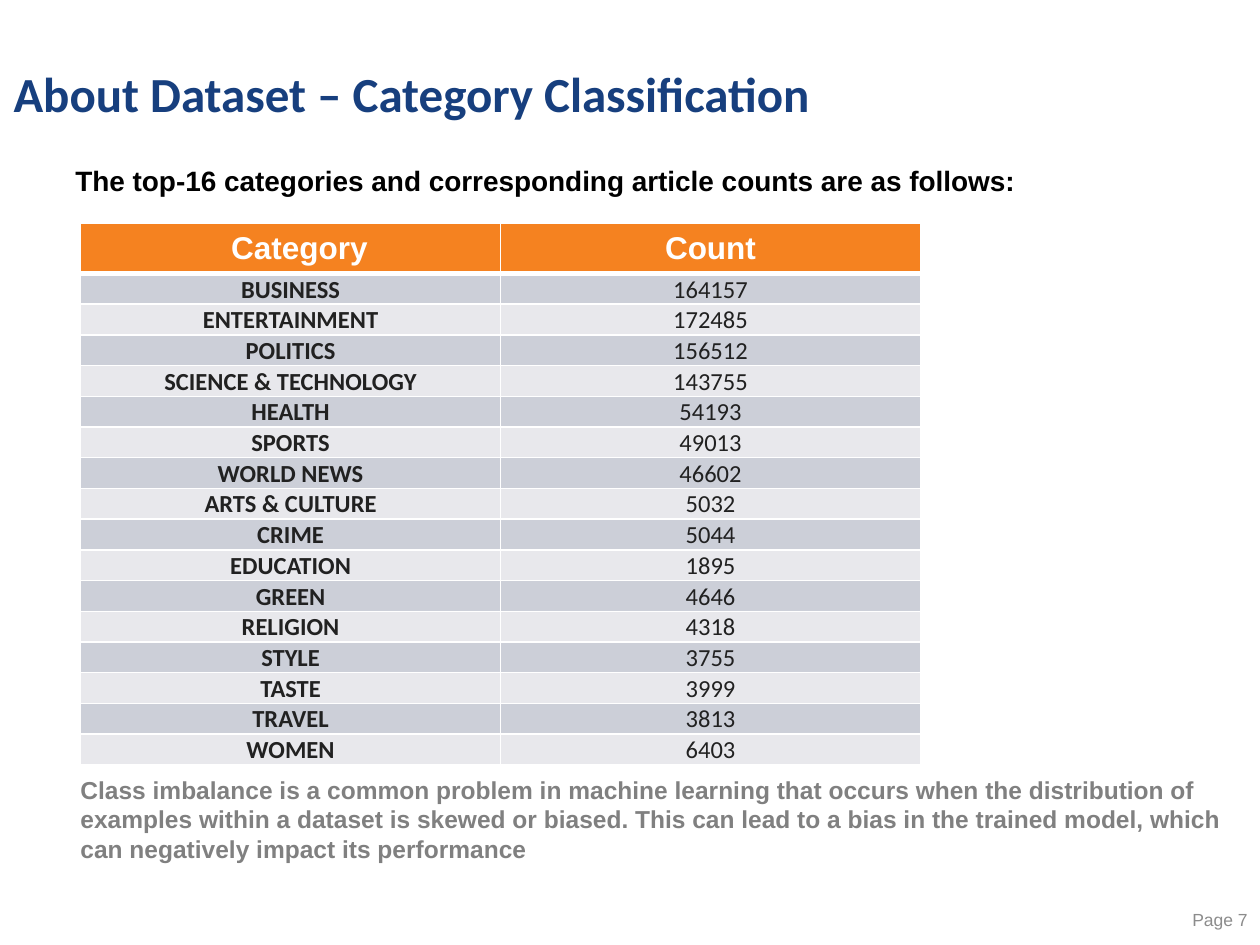
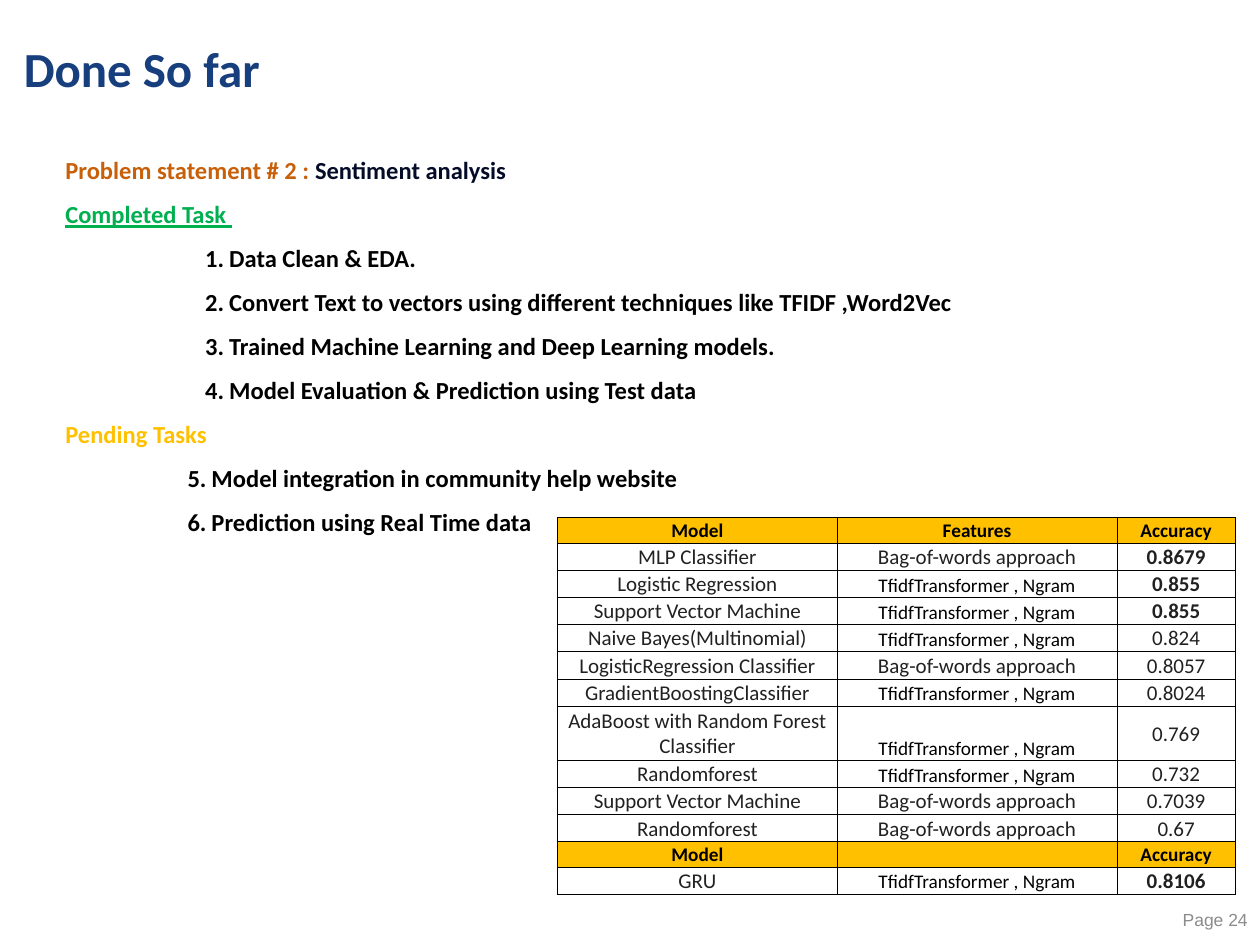
from dataclasses import dataclass, replace
from typing import Any, NamedTuple, Optional

import lxml.etree
import pptx
import pptx.dml.color
import pptx.enum.text
import pptx.oxml.ns
import pptx.util

ALIGN = pptx.enum.text.PP_ALIGN
ANCHOR = pptx.enum.text.MSO_ANCHOR
SLIDE_WIDTH = pptx.util.Inches(10)
SLIDE_HEIGHT = pptx.util.Inches(7.5)
GRID_COLUMNS = 100
GRID_ROWS = 75


@dataclass(frozen=True)
class Theme:
    heading_font: str = "Calibri"
    body_font: str = "Arial"
    navy: str = "173F7E"
    midnight: str = "040C28"
    black: str = "000000"
    white: str = "FFFFFF"
    ink: str = "212121"
    grey: str = "808080"
    page_grey: str = "8C8C8C"
    orange: str = "F58220"
    rust: str = "C76009"
    green: str = "00B050"
    amber: str = "FFC000"
    bands: tuple[str, str] = ("CCCFD8", "E8E8EC")
    title_size: int = 28
    table_head_size: int = 18
    lead_size: int = 16
    text_size: int = 14
    score_size: int = 12
    small_size: int = 11
    page_size: int = 10


THEME = Theme()


class Area(NamedTuple):
    column: float
    row: float
    columns: float
    rows: float


class Style(NamedTuple):
    size: int
    color: str
    font: str = THEME.heading_font
    bold: bool = True
    underline: bool = False


class Span(NamedTuple):
    text: str
    style: Style


class Line(NamedTuple):
    spans: tuple[Span, ...]
    align: Any = ALIGN.LEFT
    spacing: float = 1.0
    before: float = 0
    indent: float = 0
    numbered: bool = False


class Border(NamedTuple):
    color: str
    points: float
    bottom_points: float


class Insets(NamedTuple):
    left: float = 0.1
    right: float = 0.1
    top: float = 0.1
    bottom: float = 0


@dataclass(frozen=True)
class Cell:
    text: str
    style: Style
    border: Border
    fill: Optional[str] = None
    anchor: Any = ANCHOR.MIDDLE
    insets: Insets = Insets()


TITLE = Style(THEME.title_size, THEME.navy)
LEAD = Style(THEME.lead_size, THEME.black, THEME.body_font)
NOTE = Style(THEME.text_size, THEME.grey, THEME.body_font)
PAGE = Style(THEME.page_size, THEME.page_grey, THEME.body_font, False)
COUNT_HEAD = Style(THEME.table_head_size, THEME.white, THEME.body_font)
CATEGORY = Style(THEME.text_size, THEME.ink)
COUNT = CATEGORY._replace(bold=False)
TASK = Style(THEME.text_size, THEME.black)
SCORE_HEAD = Style(THEME.small_size, THEME.black)
TRANSFORMER = SCORE_HEAD._replace(bold=False)
MODEL = Style(THEME.score_size, THEME.ink, bold=False)

WHITE_RULE = Border(THEME.white, 1, 1)
HEAD_RULE = Border(THEME.white, 1, 3)
BLACK_RULE = Border(THEME.black, 0.5, 0.5)

CATEGORY_COUNTS = {
    "BUSINESS": 164157, "ENTERTAINMENT": 172485, "POLITICS": 156512,
    "SCIENCE & TECHNOLOGY": 143755, "HEALTH": 54193, "SPORTS": 49013,
    "WORLD NEWS": 46602, "ARTS & CULTURE": 5032, "CRIME": 5044,
    "EDUCATION": 1895, "GREEN": 4646, "RELIGION": 4318, "STYLE": 3755,
    "TASTE": 3999, "TRAVEL": 3813, "WOMEN": 6403,
}
BAG = "Bag-of-words approach"
TFIDF = "TfidfTransformer , Ngram"
SCORE_ROWS = [
    ("Model", "Features", "Accuracy"),
    ("MLP Classifier", BAG, "0.8679"),
    ("Logistic Regression", TFIDF, "0.855"),
    ("Support Vector Machine", TFIDF, "0.855"),
    ("Naive Bayes(Multinomial)", TFIDF, "0.824"),
    ("LogisticRegression Classifier", BAG, "0.8057"),
    ("GradientBoostingClassifier", TFIDF, "0.8024"),
    ("AdaBoost with Random Forest Classifier", TFIDF, "0.769"),
    ("Randomforest", TFIDF, "0.732"),
    ("Support Vector Machine", BAG, "0.7039"),
    ("Randomforest", BAG, "0.67"),
    ("Model", "", "Accuracy"),
    ("GRU", TFIDF, "0.8106"),
]
BEST_SCORES = {"0.8679", "0.855", "0.8106"}
COMPLETED = [
    "Data Clean & EDA.",
    "Convert Text to vectors using different techniques like TFIDF ,Word2Vec",
    "Trained Machine Learning and Deep Learning models.",
    "Model Evaluation & Prediction using Test data",
]
PENDING = [
    "Model integration in community help website",
    "Prediction using Real Time data",
]
NUMBER_HANG = 1.9


def across(columns: float) -> int:
    return round(SLIDE_WIDTH * columns / GRID_COLUMNS)


def down(rows: float) -> int:
    return round(SLIDE_HEIGHT * rows / GRID_ROWS)


def place(area: Area) -> tuple[int, int, int, int]:
    return across(area.column), down(area.row), across(area.columns), down(area.rows)


def apply(target: Any, formats: dict[str, Any]) -> None:
    for attribute, value in formats.items():
        setattr(target, attribute, value)


def rgb(color: str) -> pptx.dml.color.RGBColor:
    return pptx.dml.color.RGBColor.from_string(color)


def add_xml(parent: Any, tag: str, **attributes: str) -> Any:
    return lxml.etree.SubElement(parent, pptx.oxml.ns.qn(tag), attributes)


def write_line(paragraph: Any, line: Line) -> None:
    apply(paragraph, {
        "alignment": line.align,
        "line_spacing": line.spacing,
        "space_before": pptx.util.Pt(line.before),
    })
    hang = NUMBER_HANG if line.numbered else 0
    properties = paragraph._p.get_or_add_pPr()
    properties.set("marL", str(across(line.indent + hang)))
    properties.set("indent", str(-across(hang)))
    if line.numbered:
        add_xml(properties, "a:buFont", typeface="+mj-lt")
        add_xml(properties, "a:buAutoNum", type="arabicPeriod")
    for span in line.spans:
        if not span.text:
            paragraph._p.get_or_add_endParaRPr().set("sz", str(span.style.size * 100))
            continue
        run = paragraph.add_run()
        run.text = span.text
        apply(run.font, {
            "name": span.style.font,
            "size": pptx.util.Pt(span.style.size),
            "bold": span.style.bold,
            "underline": span.style.underline,
        })
        run.font.color.rgb = rgb(span.style.color)


def add_text(slide: Any, area: Area, lines: list[Line], anchor: Any = ANCHOR.TOP) -> None:
    frame = slide.shapes.add_textbox(*place(area)).text_frame
    apply(frame, {"word_wrap": True, "vertical_anchor": anchor})
    for index, line in enumerate(lines):
        paragraph = frame.add_paragraph() if index else frame.paragraphs[0]
        write_line(paragraph, line if index else line._replace(before=0))


def draw_borders(target: Any, border: Border) -> None:
    properties = target._tc.get_or_add_tcPr()
    for side in "LRTB":
        points = border.bottom_points if side == "B" else border.points
        edge = add_xml(properties, f"a:ln{side}", w=str(pptx.util.Pt(points)))
        add_xml(add_xml(edge, "a:solidFill"), "a:srgbClr", val=border.color)


def draw_cell(target: Any, cell: Cell) -> None:
    left, right, top, bottom = cell.insets
    apply(target, {
        "margin_left": across(left),
        "margin_right": across(right),
        "margin_top": down(top),
        "margin_bottom": down(bottom),
        "vertical_anchor": cell.anchor,
    })
    draw_borders(target, cell.border)
    if cell.fill:
        target.fill.solid()
        target.fill.fore_color.rgb = rgb(cell.fill)
    else:
        target.fill.background()
    write_line(target.text_frame.paragraphs[0],
               Line((Span(cell.text, cell.style),), ALIGN.CENTER))


def add_grid(slide: Any, column: float, row: float, widths: list[float],
             heights: list[float], cells: list[list[Cell]]) -> None:
    area = Area(column, row, sum(widths), sum(heights))
    table = slide.shapes.add_table(len(heights), len(widths), *place(area)).table
    apply(table, {"first_row": False, "horz_banding": False})
    for table_column, width in zip(table.columns, widths):
        table_column.width = across(width)
    for table_row, height, row_cells in zip(table.rows, heights, cells):
        table_row.height = down(height)
        for target, cell in zip(table_row.cells, row_cells):
            draw_cell(target, cell)


def start_slide(deck: Any, title: str, area: Area, page: int) -> Any:
    slide = deck.slides.add_slide(deck.slide_layouts[6])
    add_text(slide, area, [Line((Span(title, TITLE),), spacing=0.9)], ANCHOR.MIDDLE)
    add_text(slide, Area(87.5, 71, 12.5, 4),
             [Line((Span(f"Page {page}", PAGE),), ALIGN.RIGHT)], ANCHOR.MIDDLE)
    return slide


def score_cell(text: str, is_header: bool) -> Cell:
    if is_header:
        return Cell(text, SCORE_HEAD, BLACK_RULE, THEME.amber, ANCHOR.BOTTOM)
    if text == TFIDF:
        return Cell(text, TRANSFORMER, BLACK_RULE, anchor=ANCHOR.BOTTOM)
    return Cell(text, MODEL._replace(bold=text in BEST_SCORES), BLACK_RULE)


def build_categories(deck: Any) -> None:
    slide = start_slide(deck, "About Dataset – Category Classification",
                        Area(0.1, 4.3, 86.2, 6.8), 7)
    lead = "The top-16 categories and corresponding article counts are as follows:"
    add_text(slide, Area(1.9, 12.8, 95.3, 4),
             [Line((Span(lead, LEAD),), spacing=0.9, indent=3.1)])
    count_head = Cell("Count", COUNT_HEAD, HEAD_RULE, THEME.orange,
                      insets=Insets(1, 1, 0.5, 0.5))
    category_head = replace(count_head, text="Category", insets=Insets(2.4, 1, 0.5, 0.5))
    cells = [[category_head, count_head]]
    for index, (category, count) in enumerate(CATEGORY_COUNTS.items()):
        band = THEME.bands[index % 2]
        cells.append([Cell(category, CATEGORY, WHITE_RULE, band),
                      Cell(str(count), COUNT, WHITE_RULE, band)])
    add_grid(slide, 6.4, 17.7, [33.33] * 2,
             [3.8] + [2.43] * len(CATEGORY_COUNTS), cells)
    note = ("Class imbalance is a common problem in machine learning that occurs when "
            "the distribution of examples within a dataset is skewed or biased. This can "
            "lead to a bias in the trained model, which can negatively impact its performance")
    add_text(slide, Area(5.4, 61, 92.7, 8.1), [Line((Span(note, NOTE),))])


def build_progress(deck: Any) -> None:
    slide = start_slide(deck, "Done So far", Area(0.9, 2.7, 72.2, 6), 24)
    body = Line((), spacing=0.9, before=10)
    lines = [
        body._replace(spans=(Span("Problem statement # 2 : ", TASK._replace(color=THEME.rust)),
                             Span("Sentiment analysis", TASK._replace(color=THEME.midnight)))),
    ]
    sections = [
        ("Completed Task ", TASK._replace(color=THEME.green, underline=True), COMPLETED, 11.1),
        ("Pending Tasks", TASK._replace(color=THEME.amber), PENDING, 9.7),
    ]
    for heading, style, tasks, indent in sections:
        lines.append(body._replace(spans=(Span(heading, style),)))
        lines += [body._replace(spans=(Span(task, TASK),), indent=indent, numbered=True)
                  for task in tasks]
    add_text(slide, Area(4.2, 12.1, 92.1, 59.9), lines)
    cells = [[score_cell(text, row[0] == "Model") for text in row] for row in SCORE_ROWS]
    heights = [2 if row[0] == "Model" else 4.3 if row[0].startswith("AdaBoost") else 2.16
               for row in SCORE_ROWS]
    add_grid(slide, 44.25, 41.1, [22.2, 22.2, 9.4], heights, cells)


def main() -> None:
    deck = pptx.Presentation()
    apply(deck, {"slide_width": SLIDE_WIDTH, "slide_height": SLIDE_HEIGHT})
    build_categories(deck)
    build_progress(deck)
    deck.save("out.pptx")


if __name__ == "__main__":
    main()
